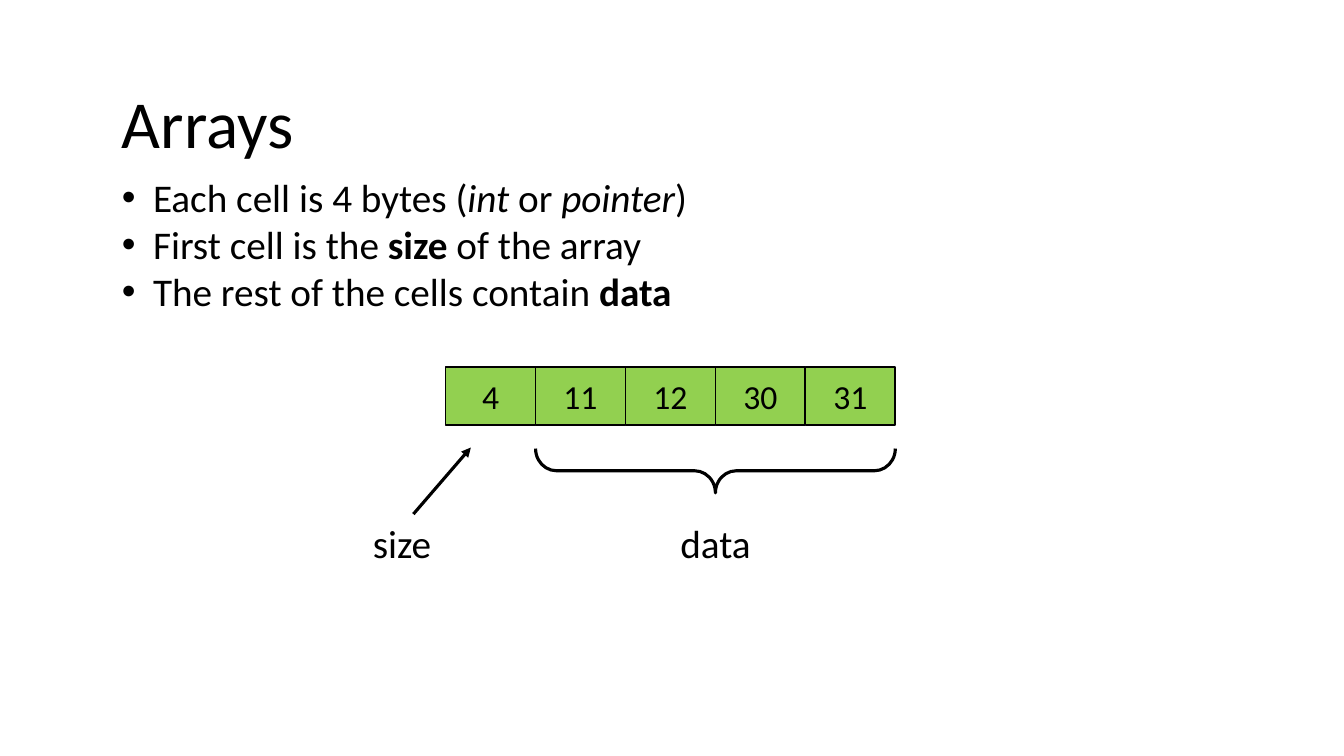
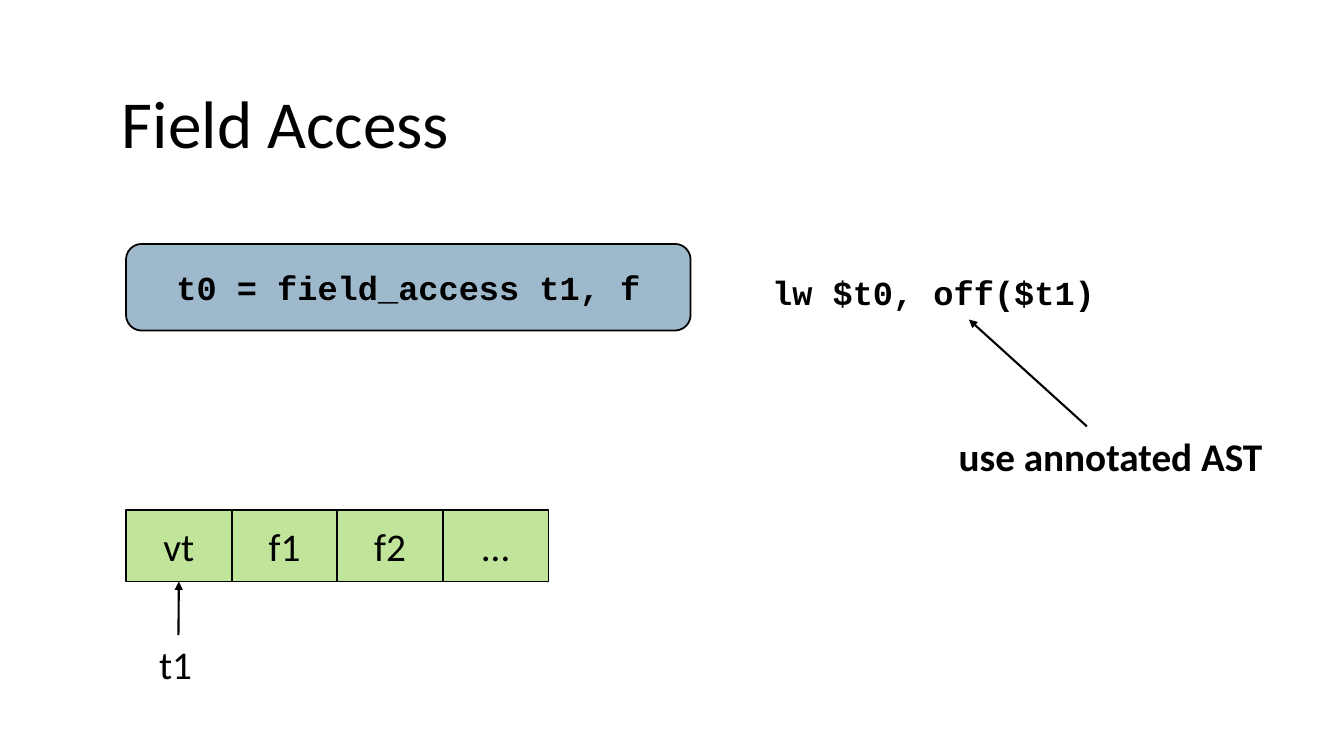
from dataclasses import dataclass

import lxml.etree
import pptx
import pptx.dml.color
import pptx.enum.shapes
import pptx.enum.text
import pptx.oxml.ns
import pptx.util
from pptx.util import Inches

SHAPE = pptx.enum.shapes.MSO_SHAPE
ALIGN = pptx.enum.text.PP_ALIGN
ANCHOR = pptx.enum.text.MSO_ANCHOR


@dataclass(frozen=True)
class Theme:
    ink: str = "000000"
    paper: str = "FFFFFF"
    cell: str = "92D050"
    instruction: str = "40749B"
    body_font: str = "Calibri"
    code_font: str = "Courier New"
    title_size: int = 48
    text_size: int = 28
    small_size: int = 24
    outline: float = 1.25
    thin: float = 1.5
    thick: float = 2.25


THEME = Theme()

# Each bullet is a list of (text, style) spans.
ARRAY_BULLETS = [
    [("Each cell is 4 bytes (", ""), ("int", "italic"), (" or ", ""),
     ("pointer", "italic"), (")", "")],
    [("First cell is the ", ""), ("size", "bold"), (" of the array", "")],
    [("The rest of the cells contain ", ""), ("data", "bold")],
]
ARRAY_CELLS = ["4", "11", "12", "30", "31"]
OBJECT_CELLS = ["vt", "f1", "f2", "…"]
FIELD_INSTRUCTION = "t0 = field_access t1, f"
FIELD_ASSEMBLY = "lw $t0, off($t1)"


def rgb(value):
    return pptx.dml.color.RGBColor.from_string(value)


def add_xml(parent, tag, **attributes):
    element = lxml.etree.SubElement(parent, pptx.oxml.ns.qn(tag))
    for name, value in attributes.items():
        element.set(name, str(value))


def write(para, spans, size, font=THEME.body_font):
    for text, style in spans:
        span = para.add_run()
        span.text = text
        span.font.name = font
        span.font.size = pptx.util.Pt(size)
        span.font.color.rgb = rgb(THEME.ink)
        span.font.bold = style == "bold"
        span.font.italic = style == "italic"


def add_page(deck, title):
    page = deck.slides.add_slide(deck.slide_layouts[5])
    page.background.fill.solid()
    page.background.fill.fore_color.rgb = rgb(THEME.paper)
    box = page.shapes.title
    box.left, box.top = Inches(1.11), Inches(0.76)
    box.width, box.height = Inches(11.09), Inches(0.91)
    frame = box.text_frame
    frame.auto_size = pptx.enum.text.MSO_AUTO_SIZE.NONE
    frame.vertical_anchor = ANCHOR.TOP
    frame.paragraphs[0].alignment = ALIGN.LEFT
    write(frame.paragraphs[0], [(title, "")], THEME.title_size)
    return page


def add_text(page, place, paragraphs, size=THEME.text_size,
             font=THEME.body_font, anchor=ANCHOR.TOP, bullets=False):
    box = page.shapes.add_textbox(*map(Inches, place))
    frame = box.text_frame
    frame.word_wrap = True
    frame.vertical_anchor = anchor
    for index, spans in enumerate(paragraphs):
        para = frame.paragraphs[0] if index == 0 else frame.add_paragraph()
        if bullets:
            properties = para._p.get_or_add_pPr()
            indent = Inches(0.31)
            properties.set("marL", str(indent))
            properties.set("indent", str(-indent))
            add_xml(properties, "a:buFont", typeface="Arial")
            add_xml(properties, "a:buChar", char="•")
        write(para, spans, size, font)
    return box


def add_box(page, preset, place, spans, fill, size,
            font=THEME.body_font, opacity=100):
    box = page.shapes.add_shape(preset, *map(Inches, place))
    box.shadow.inherit = False
    box.fill.solid()
    box.fill.fore_color.rgb = rgb(fill)
    if opacity < 100:
        colour = next(box._element.spPr.iter(pptx.oxml.ns.qn("a:srgbClr")))
        add_xml(colour, "a:alpha", val=opacity * 1000)
    box.line.color.rgb = rgb(THEME.ink)
    box.line.width = pptx.util.Pt(THEME.outline)
    box.text_frame.vertical_anchor = ANCHOR.MIDDLE
    para = box.text_frame.paragraphs[0]
    para.alignment = ALIGN.CENTER
    write(para, spans, size, font)
    return box


def add_cells(page, place, labels, size, opacity=100):
    """Split the place into equal cells, one for each label."""
    left, top, width, height = place
    step = width / len(labels)
    return [add_box(page, SHAPE.RECTANGLE,
                    (left + index * step, top, step, height),
                    [(label, "")], THEME.cell, size, opacity=opacity)
            for index, label in enumerate(labels)]


def add_arrow(page, start, end, weight):
    arrow = page.shapes.add_connector(
        pptx.enum.shapes.MSO_CONNECTOR.STRAIGHT, *map(Inches, start + end))
    arrow.line.color.rgb = rgb(THEME.ink)
    arrow.line.width = pptx.util.Pt(weight)
    add_xml(arrow.line._get_or_add_ln(), "a:tailEnd", type="triangle")
    add_xml(arrow._element.spPr, "a:effectLst")
    return arrow


def add_brace_below(page, centre, length, depth):
    """Turn a left brace so that it opens upwards."""
    x, y = centre
    brace = page.shapes.add_shape(
        SHAPE.LEFT_BRACE, Inches(x - depth / 2), Inches(y - length / 2),
        Inches(depth), Inches(length))
    brace.rotation = 270
    brace.adjustments[0] = 0.47
    brace.shadow.inherit = False
    brace.fill.background()
    brace.line.color.rgb = rgb(THEME.ink)
    brace.line.width = pptx.util.Pt(THEME.thick)


def build_arrays(deck):
    page = add_page(deck, "Arrays")
    add_text(page, (1.11, 1.67, 11.27, 1.51), ARRAY_BULLETS, bullets=True)

    left, width = 4.42, 4.46
    add_cells(page, (left, 3.64, width, 0.58), ARRAY_CELLS, THEME.small_size)
    size_width = width / len(ARRAY_CELLS)
    data_width = width - size_width
    data_centre = left + size_width + data_width / 2
    add_brace_below(page, (data_centre, 4.67), data_width, 0.44)

    size_label = add_text(page, (3.6, 5.1, 1, 0.57), [[("size", "")]])
    add_text(page, (6.65, 5.1, 1, 0.57), [[("data", "")]])
    arrow = add_arrow(page, (4.1, 5.1), (4.67, 4.44), THEME.thick)
    arrow.begin_connect(size_label, 0)


def build_field_access(deck):
    page = add_page(deck, "Field Access")
    instruction = add_box(
        page, SHAPE.ROUNDED_RECTANGLE, (1.25, 2.42, 5.6, 0.86),
        [(FIELD_INSTRUCTION, "bold")], THEME.instruction, THEME.small_size,
        THEME.code_font, opacity=50)
    instruction.adjustments[0] = 0.18
    add_text(page, (7.56, 1.99, 4.46, 1.82), [[(FIELD_ASSEMBLY, "bold")]],
             THEME.small_size, THEME.code_font, ANCHOR.MIDDLE)
    add_text(page, (9.41, 4.24, 3.5, 0.57), [[("use annotated AST", "bold")]])
    add_arrow(page, (10.78, 4.23), (9.61, 3.17), THEME.thin)

    cells = add_cells(page, (1.25, 5.06, 4.19, 0.71), OBJECT_CELLS,
                      THEME.text_size, opacity=57)
    pointer = add_text(page, (1.48, 6.3, 0.58, 0.57), [[("t1", "")]])
    arrow = add_arrow(page, (1.77, 6.3), (1.77, 5.77), THEME.thin)
    arrow.begin_connect(pointer, 0)
    arrow.end_connect(cells[0], 2)


def main():
    deck = pptx.Presentation()
    deck.slide_width, deck.slide_height = Inches(13.33), Inches(7.5)
    build_arrays(deck)
    build_field_access(deck)
    deck.save("out.pptx")


if __name__ == "__main__":
    main()
